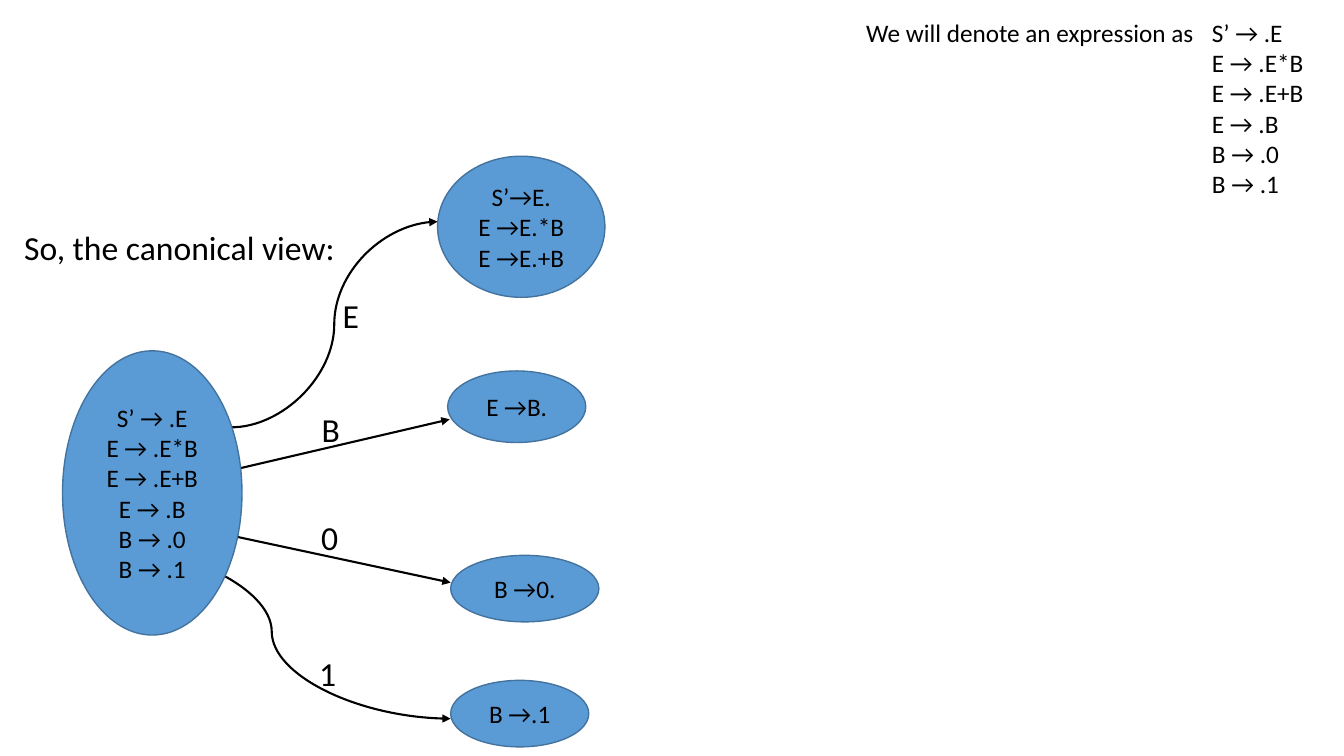
from dataclasses import dataclass

from lxml import etree
from pptx import Presentation
from pptx.dml.color import RGBColor
from pptx.enum import shapes, text
from pptx.oxml import ns
from pptx.util import Inches, Pt


@dataclass(frozen=True)
class Theme:
    font: str = "Calibri"
    ink: RGBColor = RGBColor(0x00, 0x00, 0x00)
    state_fill: RGBColor = RGBColor(0x5B, 0x9B, 0xD5)
    state_line: RGBColor = RGBColor(0x43, 0x73, 0x9E)
    large: int = 24
    small: int = 18
    arrow_width: float = 1.5


@dataclass(frozen=True)
class State:
    left: float
    top: float
    width: float
    height: float
    items: list[str]


@dataclass(frozen=True)
class Transition:
    symbol: str
    label_at: tuple[float, float]
    start: tuple[float, float]
    end: tuple[float, float]
    curved: bool = False


THEME = Theme()
STRAIGHT, CURVE = shapes.MSO_CONNECTOR.STRAIGHT, shapes.MSO_CONNECTOR.CURVE
LEFT, CENTER = text.PP_ALIGN.LEFT, text.PP_ALIGN.CENTER
TOP, MIDDLE = text.MSO_ANCHOR.TOP, text.MSO_ANCHOR.MIDDLE
RULES_INDENT = 3.43

START_ITEMS = ["S’ → .E", "E → .E*B", "E → .E+B", "E → .B", "B → .0", "B → .1"]
STATES = [
    State(0.62, 3.48, 1.78, 2.82, START_ITEMS),
    State(4.34, 1.55, 1.66, 1.4, ["S’→E.", "E →E.*B", "E →E.+B"]),
    State(4.44, 3.68, 1.37, 0.71, ["E →B."]),
    State(4.47, 5.51, 1.47, 0.66, ["B →0."]),
    State(4.47, 6.75, 1.37, 0.66, ["B →.1"]),
]
TRANSITIONS = [
    Transition("E", (3.28, 2.88), (2.29, 4.24), (4.34, 2.2), curved=True),
    Transition("B", (3.08, 4.01), (2.36, 4.65), (4.46, 4.16)),
    Transition("0", (3.07, 5.08), (1.95, 5.24), (4.47, 5.78)),
    Transition("1", (3.05, 6.43), (0.92, 5.4), (4.47, 7.13), curved=True),
]


def write(shape, lines: list[str], *, size: int, align=LEFT, anchor=TOP) -> None:
    """Fill a shape with one paragraph per line."""
    frame = shape.text_frame
    frame.text = "\n".join(lines)
    frame.word_wrap = True
    frame.auto_size = text.MSO_AUTO_SIZE.NONE
    frame.vertical_anchor = anchor
    for paragraph in frame.paragraphs:
        paragraph.alignment = align
        paragraph.space_before = Pt(0)
        paragraph.font.name = THEME.font
        paragraph.font.size = Pt(size)
        paragraph.font.color.rgb = THEME.ink


def place(shape, left: float, top: float, width: float, height: float) -> None:
    shape.left, shape.top = Inches(left), Inches(top)
    shape.width, shape.height = Inches(width), Inches(height)


def indent_rules(rules) -> None:
    """Line the rules up in one column, the first one behind its lead-in."""
    for index, paragraph in enumerate(rules.text_frame.paragraphs):
        props = paragraph._p.get_or_add_pPr()
        margin = Inches(RULES_INDENT)
        props.set("marL", str(margin))
        props.set("indent", str(0 if index else -margin))
        etree.SubElement(props, ns.qn("a:buNone"))
        # buNone belongs ahead of the default run properties
        props.append(props.find(ns.qn("a:defRPr")))


def draw_transition(slide, transition: Transition) -> None:
    kind = CURVE if transition.curved else STRAIGHT
    ends = [Inches(v) for v in transition.start + transition.end]
    arrow = slide.shapes.add_connector(kind, *ends)
    arrow.line.color.rgb = THEME.ink
    arrow.line.width = Pt(THEME.arrow_width)
    etree.SubElement(arrow.line._get_or_add_ln(), ns.qn("a:tailEnd"), type="triangle")
    etree.SubElement(arrow._element.spPr, ns.qn("a:effectLst"))

    label_box = [Inches(v) for v in (*transition.label_at, 0.4, 0.5)]
    label = slide.shapes.add_textbox(*label_box)
    write(label, [transition.symbol], size=THEME.large, align=CENTER)


def draw_state(slide, state: State) -> None:
    box = [Inches(v) for v in (state.left, state.top, state.width, state.height)]
    oval = slide.shapes.add_shape(shapes.MSO_SHAPE.OVAL, *box)
    oval.shadow.inherit = False
    oval.fill.solid()
    oval.fill.fore_color.rgb = THEME.state_fill
    oval.line.color.rgb = THEME.state_line
    oval.line.width = Pt(1)
    write(oval, state.items, size=THEME.small, align=CENTER, anchor=MIDDLE)


def main() -> None:
    deck = Presentation()
    deck.slide_width, deck.slide_height = Inches(13.33), Inches(7.5)
    slide = deck.slides.add_slide(deck.slide_layouts[1])

    # Heading and grammar rules
    heading, rules = slide.placeholders
    place(heading, 0.14, 2.2, 3.4, 0.5)
    write(heading, ["So, the canonical view:"], size=THEME.large)
    place(rules, 8.49, 0.12, 4.62, 1.92)
    first, *others = START_ITEMS
    lead_in = f"We will denote an expression as\t{first}"
    write(rules, [lead_in, *others], size=THEME.small)
    indent_rules(rules)

    # Arrows lie under the states
    for transition in TRANSITIONS:
        draw_transition(slide, transition)
    for state in STATES:
        draw_state(slide, state)

    deck.save("out.pptx")


if __name__ == "__main__":
    main()
